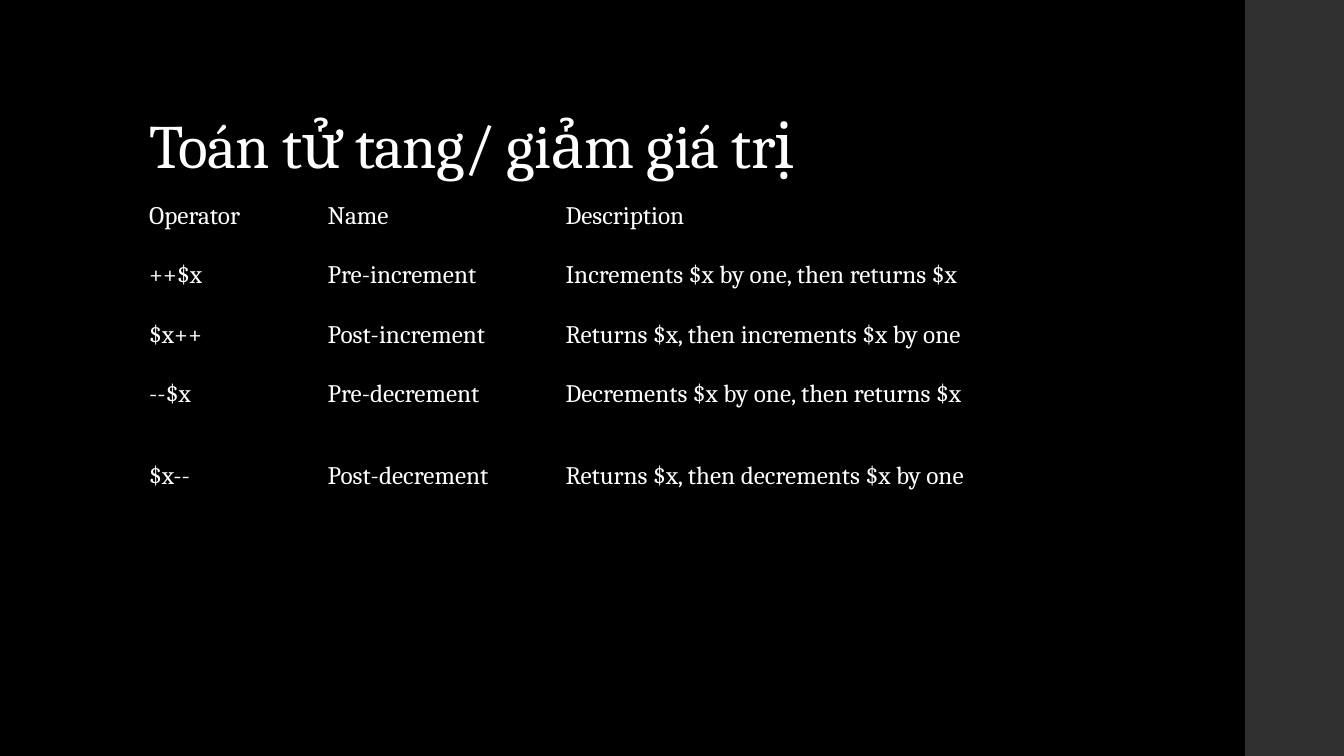
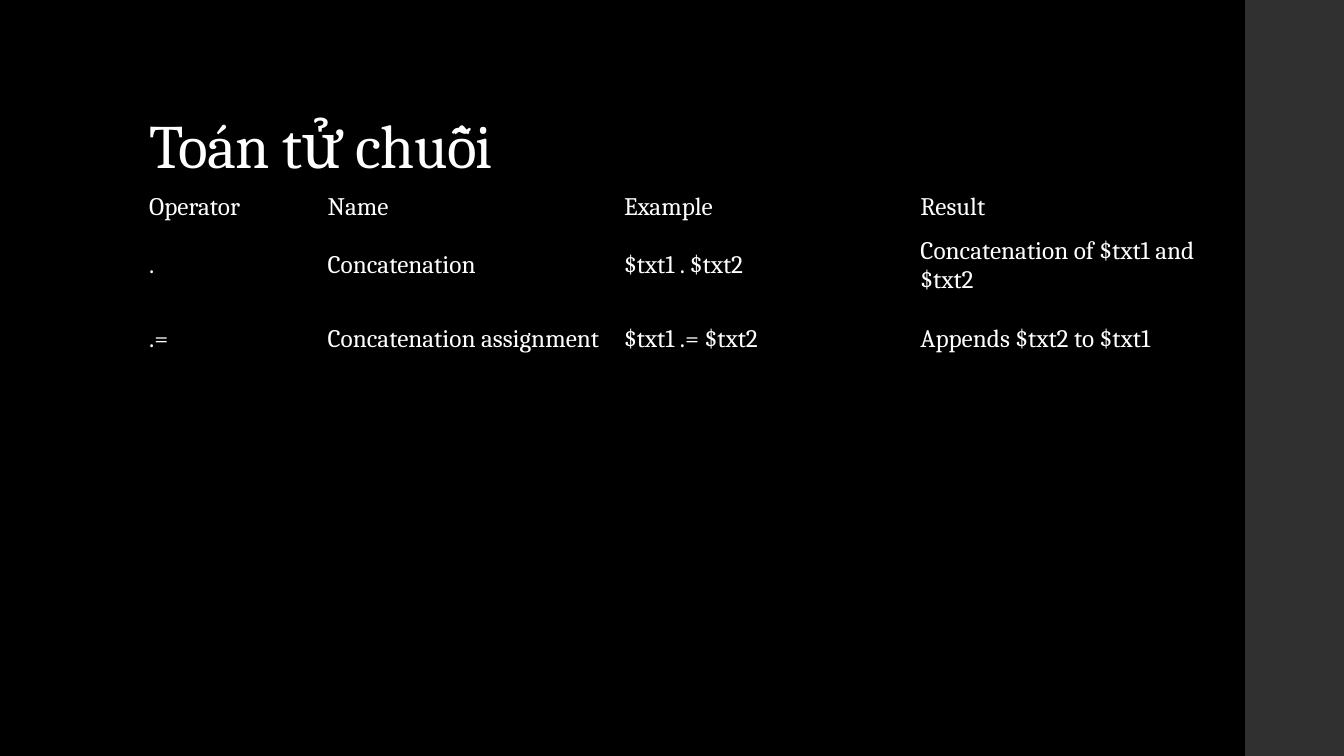
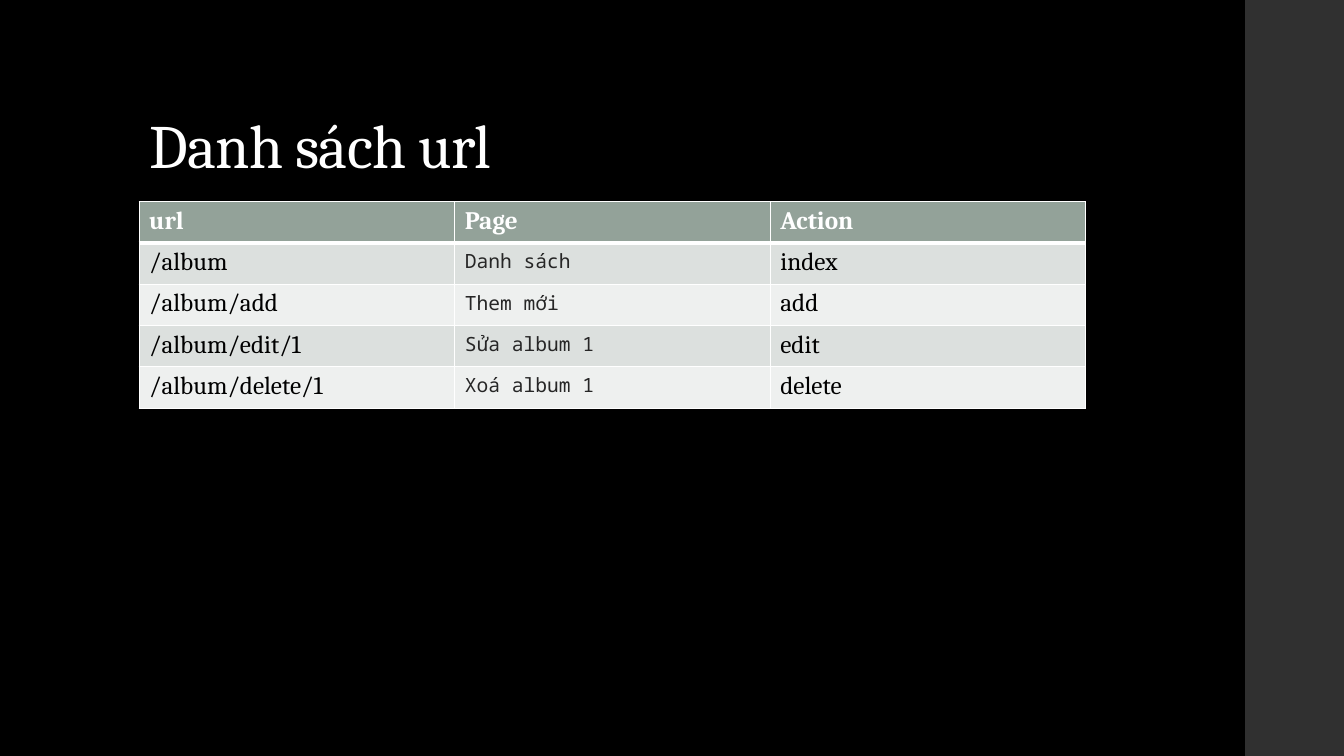
from lxml.etree import SubElement
from pptx import Presentation
from pptx.dml.color import RGBColor
from pptx.enum.shapes import MSO_SHAPE
from pptx.enum.text import MSO_ANCHOR, MSO_AUTO_SIZE, PP_ALIGN
from pptx.oxml.ns import qn
from pptx.util import Inches, Pt

BLACK = RGBColor(0x00, 0x00, 0x00)
WHITE = RGBColor(0xFF, 0xFF, 0xFF)
BAND_GREY = RGBColor(0x30, 0x30, 0x30)
CODE_GREY = RGBColor(0x26, 0x26, 0x26)
HEADER_GREEN = RGBColor(0x93, 0xA2, 0x99)
ROW_FILLS = (RGBColor(0xDC, 0xE0, 0xDE), RGBColor(0xEE, 0xF0, 0xEF))

PLAIN_TABLE_STYLE = "{2D5ABB26-0587-4C30-8999-92F81FD0307C}"
LEFT = 1.38
TITLE_ONLY = 5

TITLE_FONT = {"name": "Cambria", "size": Pt(44), "bold": False}
BODY_FONT = {"name": "Cambria", "size": Pt(18), "bold": False}
HEADER_FONT = {**BODY_FONT, "bold": True}
CODE_FONT = {"name": "Noto Sans Mono", "size": Pt(14), "bold": False}


def set_format(font, values, color):
    for name, value in values.items():
        setattr(font, name, value)
    font.color.rgb = color


def set_borders(cell, widths):
    """Draw white borders; widths maps lnL, lnR, lnT and lnB to points."""
    properties = cell._tc.get_or_add_tcPr()
    for side, width in widths.items():
        line = SubElement(properties, qn(f"a:{side}"), w=str(Pt(width)))
        fill = SubElement(line, qn("a:solidFill"))
        SubElement(fill, qn("a:srgbClr"), val=str(WHITE))


class Deck:
    def __init__(self):
        self.presentation = Presentation()
        self.presentation.slide_width = Inches(13.33)
        self.presentation.slide_height = Inches(7.5)
        background = self.presentation.slide_master.background.fill
        background.solid()
        background.fore_color.rgb = BLACK
        self.slide = None

    def add_slide(self, title):
        layout = self.presentation.slide_layouts[TITLE_ONLY]
        self.slide = self.presentation.slides.add_slide(layout)
        self.add_band()
        self.set_title(title)

    def add_band(self):
        band = self.slide.shapes.add_shape(
            MSO_SHAPE.RECTANGLE, Inches(12.35), 0, Inches(0.98), Inches(7.5))
        band.shadow.inherit = False
        band.fill.solid()
        band.fill.fore_color.rgb = BAND_GREY
        band.line.fill.background()

    def set_title(self, text):
        title = self.slide.shapes.title
        title.left, title.top = Inches(LEFT), Inches(0.4)
        title.width, title.height = Inches(10.6), Inches(1.45)
        frame = title.text_frame
        frame.word_wrap = True
        frame.auto_size = MSO_AUTO_SIZE.NONE
        frame.vertical_anchor = MSO_ANCHOR.BOTTOM
        paragraph = frame.paragraphs[0]
        paragraph.alignment = PP_ALIGN.LEFT
        paragraph.line_spacing = 0.9
        run = paragraph.add_run()
        run.text = text
        set_format(run.font, TITLE_FONT, WHITE)
        run._r.get_or_add_rPr().set("spc", "-50")

    def add_table(self, top, widths, heights, rows):
        """Place an unstyled table filled with text and return it."""
        frame = self.slide.shapes.add_table(
            len(rows), len(widths), Inches(LEFT), Inches(top),
            Inches(sum(widths)), Inches(sum(heights)))
        frame.element.xpath(".//a:tableStyleId")[0].text = PLAIN_TABLE_STYLE
        table = frame.table
        table.first_row = table.horz_banding = False
        for column, width in zip(table.columns, widths):
            column.width = Inches(width)
        for row, height, texts in zip(table.rows, heights, rows):
            row.height = Inches(height)
            for cell, text in zip(row.cells, texts):
                cell.text = text
        return table

    def add_plain_table(self, widths, heights, rows):
        table = self.add_table(1.85, widths, heights, rows)
        for cell in table.iter_cells():
            cell.vertical_anchor = MSO_ANCHOR.MIDDLE
            cell.fill.background()
            set_format(cell.text_frame.paragraphs[0].runs[0].font,
                       BODY_FONT, WHITE)

    def add_banded_table(self, widths, heights, rows, code_column):
        table = self.add_table(2, widths, heights, rows)
        for row_index, row in enumerate(table.rows):
            for column_index, cell in enumerate(row.cells):
                if row_index == 0:
                    fill, values, color = HEADER_GREEN, HEADER_FONT, WHITE
                else:
                    fill = ROW_FILLS[(row_index - 1) % 2]
                    values, color = BODY_FONT, BLACK
                    if column_index == code_column:
                        values, color = CODE_FONT, CODE_GREY
                set_borders(cell, {"lnL": 1, "lnR": 1,
                                   "lnT": 3 if row_index == 1 else 1,
                                   "lnB": 3 if row_index == 0 else 1})
                cell.fill.solid()
                cell.fill.fore_color.rgb = fill
                set_format(cell.text_frame.paragraphs[0].runs[0].font,
                           values, color)


def main():
    deck = Deck()

    deck.add_slide("Toán tử tang/ giảm giá trị")
    deck.add_plain_table([1.77, 2.36, 6.47], [0.59] * 4 + [1.03], [
        ("Operator", "Name", "Description"),
        ("++$x", "Pre-increment", "Increments $x by one, then returns $x"),
        ("$x++", "Post-increment", "Returns $x, then increments $x by one"),
        ("--$x", "Pre-decrement", "Decrements $x by one, then returns $x"),
        ("$x--", "Post-decrement", "Returns $x, then decrements $x by one"),
    ])

    deck.add_slide("Toán tử chuỗi")
    deck.add_plain_table([1.77] + [2.94] * 3, [0.42, 0.73, 0.73], [
        ("Operator", "Name", "Example", "Result"),
        (".", "Concatenation", "$txt1 . $txt2",
         "Concatenation of $txt1 and $txt2"),
        (".=", "Concatenation assignment", "$txt1 .= $txt2",
         "Appends $txt2 to $txt1"),
    ])

    deck.add_slide("Danh sách url")
    deck.add_banded_table([3.13] * 3, [0.41] * 5, [
        ("url", "Page", "Action"),
        ("/album", "Danh sách", "index"),
        ("/album/add", "Them mới", "add"),
        ("/album/edit/1", "Sửa album 1", "edit"),
        ("/album/delete/1", "Xoá album 1", "delete"),
    ], code_column=1)

    deck.presentation.save("out.pptx")


if __name__ == "__main__":
    main()
